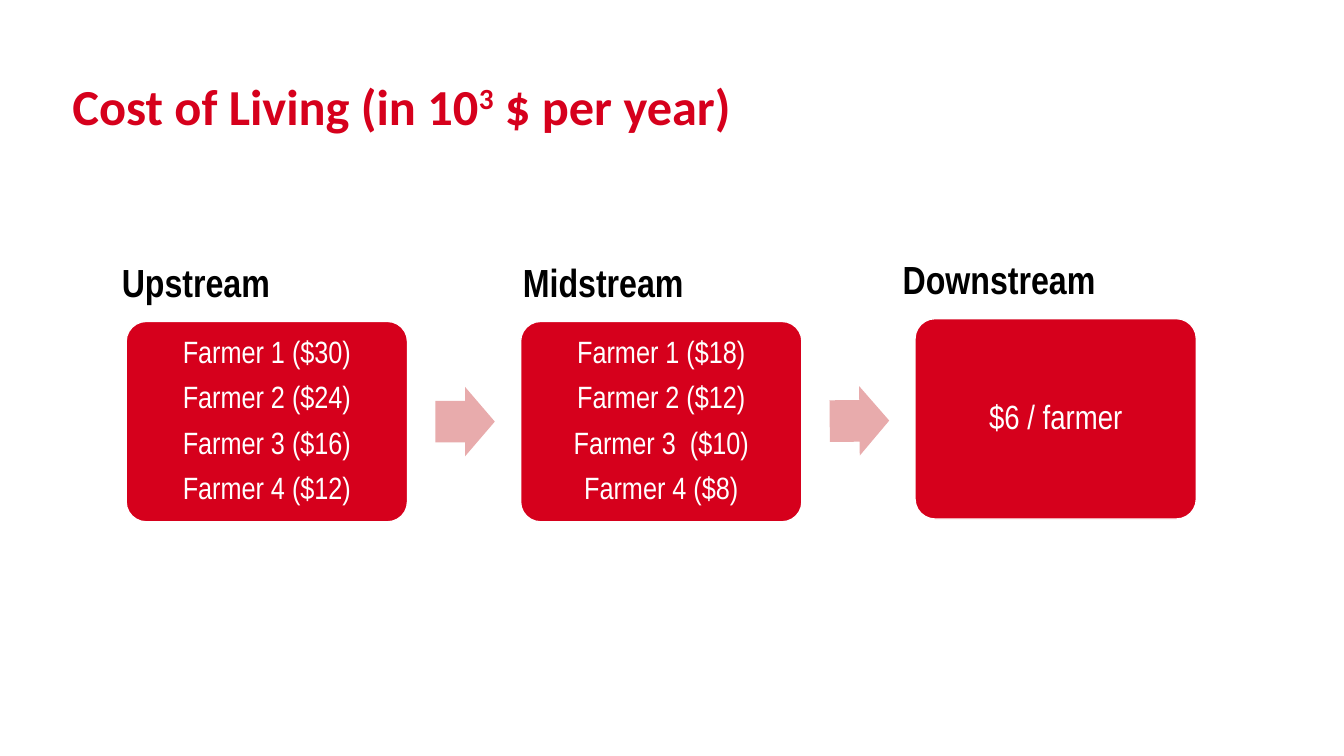
"""Build the cost of living slide: three river stages joined by arrows."""
from pptx import Presentation
from pptx.dml.color import RGBColor
from pptx.enum.shapes import MSO_SHAPE
from pptx.enum.text import MSO_ANCHOR, MSO_AUTO_SIZE, PP_ALIGN
from pptx.util import Cm, Pt

ROUNDED, ARROW = MSO_SHAPE.ROUNDED_RECTANGLE, MSO_SHAPE.RIGHT_ARROW
MIDDLE, LEFT, CENTER = MSO_ANCHOR.MIDDLE, PP_ALIGN.LEFT, PP_ALIGN.CENTER
NO_FIT, GROW = MSO_AUTO_SIZE.NONE, MSO_AUTO_SIZE.SHAPE_TO_FIT_TEXT

RED = RGBColor(0xD6, 0x00, 0x1C)
PINK = RGBColor(0xE8, 0xAB, 0xAC)
WHITE = RGBColor(0xFF, 0xFF, 0xFF)
BLACK = RGBColor(0x00, 0x00, 0x00)
BODY_FONT, TITLE_FONT = "Arial Narrow", "Calibri"

TITLE = [("Cost of Living (in 10", False), ("3", True), (" $ per year)", False)]
STAGES = [
    {"name": "Upstream", "name_left": 2.82, "name_width": 4.29, "rise": 0, "size": 22,
     "costs": ["Farmer 1 ($30)", "Farmer 2 ($24)", "Farmer 3 ($16)", "Farmer 4 ($12)"]},
    {"name": "Midstream", "name_left": 12.93, "name_width": 4.6, "rise": 0, "size": 22,
     "costs": ["Farmer 1 ($18)", "Farmer 2 ($12)", "Farmer 3  ($10)", "Farmer 4 ($8)"]},
    {"name": "Downstream", "name_left": 22.5, "name_width": 5.41, "rise": 0.07, "size": 24,
     "costs": ["$6 / farmer"]},
]
ARROWS = [{"top": 9.75, "turn": 0}, {"top": 9.73, "turn": 359.5}]

CARD_LEFT, CARD_TOP, CARD_WIDTH, CARD_HEIGHT = 3.18, 8.1, 7.09, 5.05
CARD_STEP = 9.94
ARROW_OFFSET, ARROW_WIDTH, ARROW_HEIGHT = 7.79, 1.5, 1.75
NAME_TOP, NAME_HEIGHT = 6.38, 1.45


def style(paragraph, font_name, size, color, bold=False):
    font = paragraph.font
    font.name, font.size, font.bold = font_name, Pt(size), bold
    font.color.rgb = color


def add_title(slide):
    title = slide.shapes.title
    title.left, title.top, title.width, title.height = Cm(1.57), Cm(1.3), Cm(27), Cm(2.87)
    frame = title.text_frame
    frame.auto_size, frame.vertical_anchor = NO_FIT, MIDDLE
    heading = frame.paragraphs[0]
    heading.alignment, heading.line_spacing = LEFT, Pt(38)
    for text, raised in TITLE:
        run = heading.add_run()
        run.text = text
        if raised:
            run._r.get_or_add_rPr().set("baseline", "30000")
    style(heading, TITLE_FONT, 36, RED, True)


def add_filled(slide, kind, left, top, width, height, fill):
    shape = slide.shapes.add_shape(kind, Cm(left), Cm(top), Cm(width), Cm(height))
    shape.shadow.inherit = False
    shape.fill.solid()
    shape.fill.fore_color.rgb = fill
    return shape


def add_card(slide, stage, left):
    card = add_filled(slide, ROUNDED, left, CARD_TOP - stage["rise"],
                      CARD_WIDTH, CARD_HEIGHT, RED)
    card.adjustments[0] = 0.1
    card.line.color.rgb, card.line.width = WHITE, Pt(1)
    frame = card.text_frame
    frame.word_wrap, frame.vertical_anchor = True, MIDDLE
    frame.text = "\n".join(stage["costs"])
    for cost in frame.paragraphs:
        cost.alignment, cost.line_spacing = CENTER, 0.9
        cost.space_after = Pt(8.6)
        style(cost, BODY_FONT, stage["size"], WHITE)


def add_name(slide, stage):
    label = slide.shapes.add_textbox(Cm(stage["name_left"]), Cm(NAME_TOP - stage["rise"]),
                                     Cm(stage["name_width"]), Cm(NAME_HEIGHT))
    frame = label.text_frame
    frame.word_wrap, frame.auto_size = False, GROW
    frame.text = stage["name"]
    style(frame.paragraphs[0], BODY_FONT, 28, BLACK, True)


def add_arrow(slide, arrow, left):
    pointer = add_filled(slide, ARROW, left, arrow["top"], ARROW_WIDTH, ARROW_HEIGHT, PINK)
    pointer.adjustments[0], pointer.adjustments[1] = 0.6, 0.5
    pointer.line.fill.background()
    pointer.rotation = arrow["turn"]


def main():
    deck = Presentation()
    deck.slide_width, deck.slide_height = Cm(33.87), Cm(19.05)
    slide = deck.slides.add_slide(deck.slide_layouts[5])
    add_title(slide)
    for index, stage in enumerate(STAGES):
        add_card(slide, stage, CARD_LEFT + index * CARD_STEP)
        add_name(slide, stage)
    for index, arrow in enumerate(ARROWS):
        add_arrow(slide, arrow, CARD_LEFT + index * CARD_STEP + ARROW_OFFSET)
    deck.save("out.pptx")


if __name__ == "__main__":
    main()
